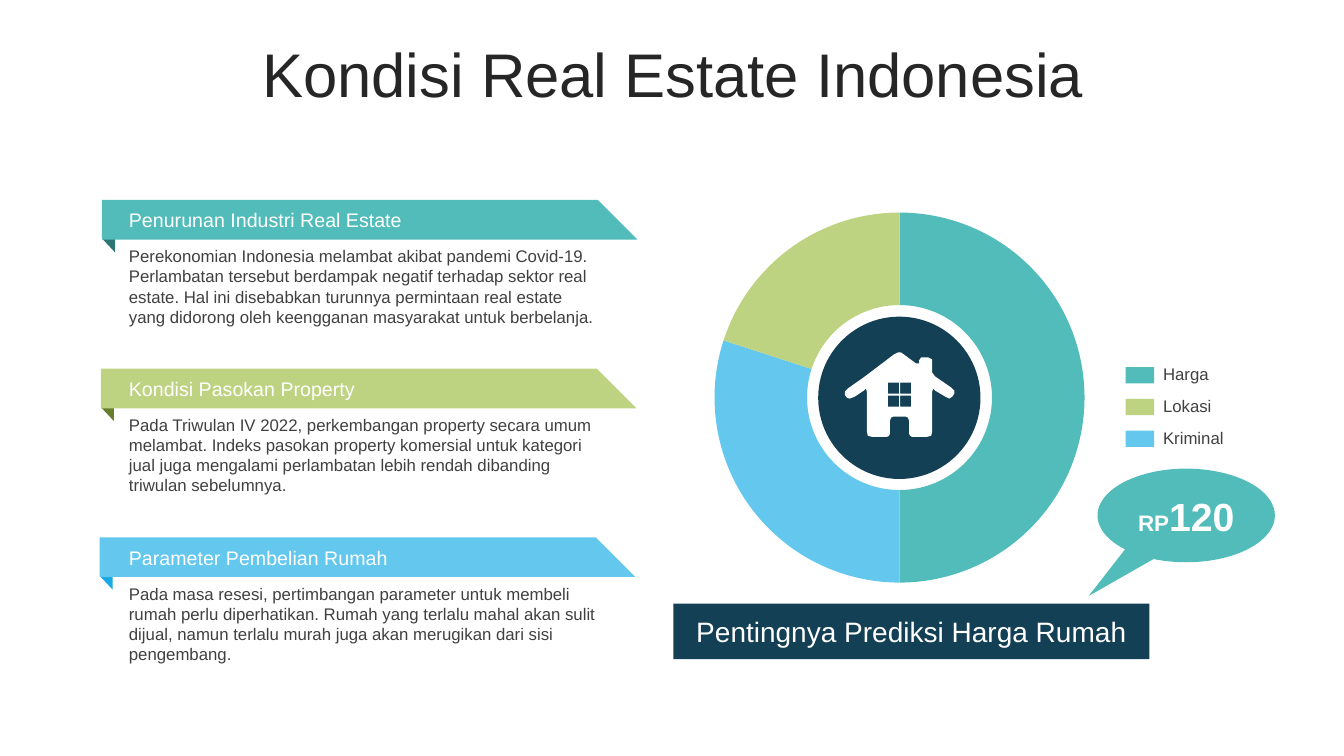
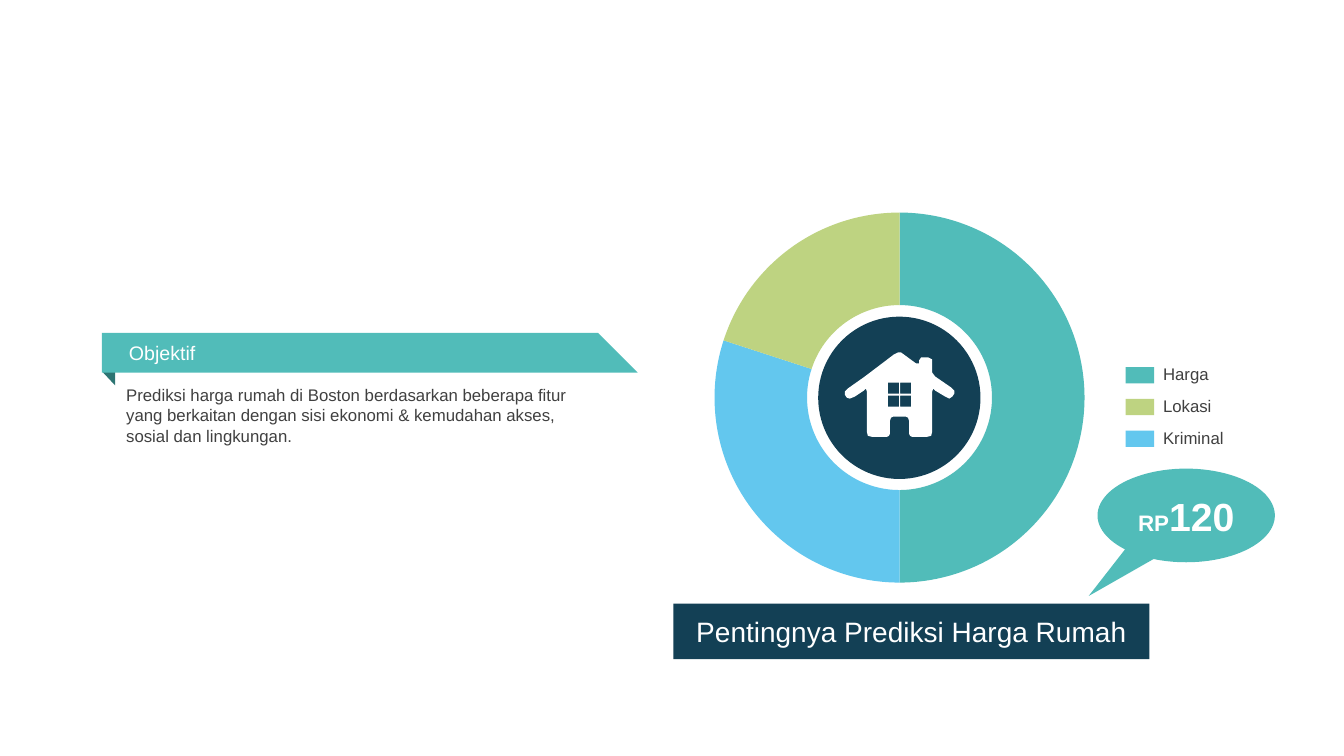
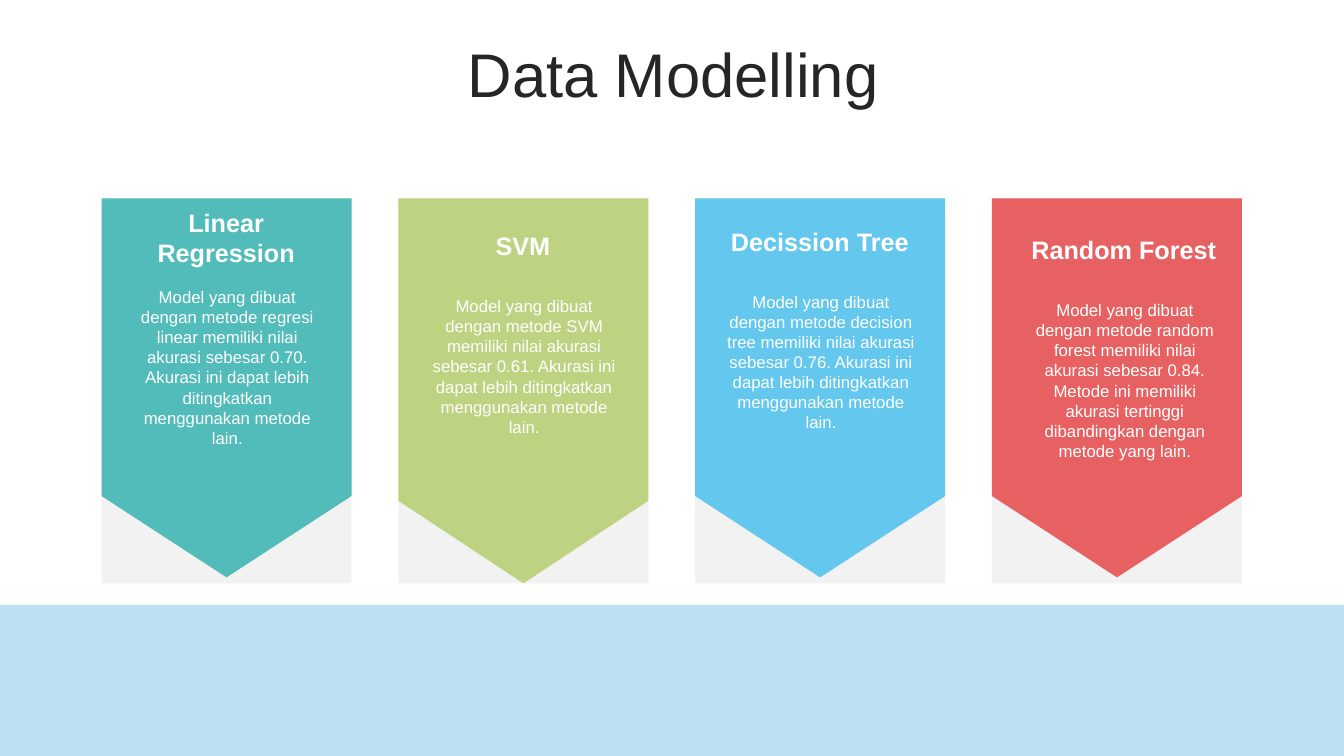
from dataclasses import dataclass

from lxml import etree
from pptx import Presentation
from pptx.chart.data import CategoryChartData
from pptx.dml.color import RGBColor
from pptx.enum.chart import XL_CHART_TYPE
from pptx.enum.shapes import MSO_SHAPE
from pptx.enum.text import MSO_ANCHOR, PP_ALIGN
from pptx.oxml.ns import qn
from pptx.util import Cm, Pt

LEFT, CENTER = PP_ALIGN.LEFT, PP_ALIGN.CENTER
TOP, MIDDLE = MSO_ANCHOR.TOP, MSO_ANCHOR.MIDDLE
RECTANGLE, OVAL = MSO_SHAPE.RECTANGLE, MSO_SHAPE.OVAL
CALLOUT = MSO_SHAPE.OVAL_CALLOUT
DOUGHNUT = XL_CHART_TYPE.DOUGHNUT


@dataclass(frozen=True)
class Theme:
    font: str = "Arial"
    chart_font: str = "Calibri"
    # Colours
    teal: str = "51BCB9"
    green: str = "BED381"
    blue: str = "63C7EE"
    red: str = "E86162"
    dark_teal: str = "2D7573"
    dark_green: str = "697E2C"
    dark_blue: str = "19ABE4"
    navy: str = "134055"
    pale_blue: str = "BDE0F0"
    light_grey: str = "F2F2F2"
    title_text: str = "262626"
    body_text: str = "404040"
    white: str = "FFFFFF"
    black: str = "000000"
    # Type sizes
    title: int = 44
    amount: int = 28
    caption: int = 20
    card_heading: int = 18
    currency: int = 16
    heading: int = 14
    body: int = 12
    chart: int = 10


THEME = Theme()

# House icon on a grid 109 units wide
HOUSE_WIDTH = 109
HOUSE_OUTLINE = [
    (51, 1), (53, 0), (56, 0), (71, 11), (74, 11), (74, 8), (76, 5), (83, 5),
    (87, 7), (87, 20), (90, 24), (106, 35), (109, 38), (109, 41), (107, 44),
    (104, 46), (100, 44), (90, 38), (88, 36), (87, 39), (87, 79), (86, 83),
    (82, 84), (67, 84), (65, 83), (64, 81), (64, 68), (63, 65), (61, 64),
    (48, 64), (46, 65), (45, 68), (45, 81), (44, 83), (42, 84), (27, 84),
    (23, 83), (22, 79), (22, 39), (21, 36), (19, 38), (10, 44), (5, 46),
    (2, 45), (0, 42), (0, 39), (3, 36), (20, 24), (49, 2),
]
PANE = 11
HOUSE_PANES = [
    [(x, y), (x, y + PANE), (x + PANE, y + PANE), (x + PANE, y)]
    for y in (30, 43) for x in (43, 55)
]


class Deck:
    def __init__(self, theme):
        self.theme = theme
        self.presentation = Presentation()
        self.presentation.slide_width = Cm(33.87)
        self.presentation.slide_height = Cm(19.05)
        self.slide = None

    def new_slide(self):
        layout = self.presentation.slide_layouts[6]
        self.slide = self.presentation.slides.add_slide(layout)

    # Basic elements
    def paint(self, shape, colour):
        shape.shadow.inherit = False
        shape.fill.solid()
        shape.fill.fore_color.rgb = RGBColor.from_string(colour)
        shape.line.fill.background()
        return shape

    def shape(self, kind, left, top, width, height, colour):
        shape = self.slide.shapes.add_shape(
            kind, Cm(left), Cm(top), Cm(width), Cm(height))
        return self.paint(shape, colour)

    def polygon(self, left, top, colour, *contours, unit=Cm(0.01)):
        """Draw closed contours whose whole-number points count in units."""
        first, *others = contours
        builder = self.slide.shapes.build_freeform(*first[0], scale=unit)
        builder.add_line_segments(first[1:], close=True)
        for contour in others:
            builder.move_to(*contour[0])
            builder.add_line_segments(contour[1:], close=True)
        return self.paint(builder.convert_to_shape(Cm(left), Cm(top)), colour)

    def fill_text(self, shape, runs, colour, align=LEFT, anchor=TOP,
                  bold=False):
        """Put (text, size) runs into one paragraph of the shape."""
        frame = shape.text_frame
        frame.word_wrap = True
        frame.vertical_anchor = anchor
        frame.margin_left = frame.margin_right = Cm(0.13)
        frame.margin_top = frame.margin_bottom = Cm(0.13)
        paragraph = frame.paragraphs[0]
        paragraph.alignment = align
        for text, size in runs:
            run = paragraph.add_run()
            run.text = text
            run.font.name = self.theme.font
            run.font.size = Pt(size)
            run.font.bold = bold
            run.font.color.rgb = RGBColor.from_string(colour)
        return paragraph

    def text(self, left, top, width, height, text, size, colour, **style):
        box = self.slide.shapes.add_textbox(
            Cm(left), Cm(top), Cm(width), Cm(height))
        return self.fill_text(box, [(text, size)], colour, **style)

    # Composed elements
    def title(self, text):
        paragraph = self.text(
            0.89, 0.94, 32.16, 2.01, text, self.theme.title,
            self.theme.title_text, align=CENTER, anchor=MIDDLE)
        paragraph.line_spacing = 0.9
        paragraph.space_before = Pt(8)

    def ribbon(self, left, top, heading, colour, fold_colour):
        self.polygon(left, top, fold_colour,
                     [(33, 5), (3, 3), (3, 100), (33, 132)])
        self.polygon(left, top, colour,
                     [(0, 0), (1250, 0), (1350, 100), (0, 100)])
        self.text(3.12, top + 0.08, 9.75, 0.81, heading,
                  self.theme.heading, self.theme.white)

    def ribbon_body(self, left, top, text):
        self.text(left, top, 12.14, 2.21, text,
                  self.theme.body, self.theme.body_text)

    def doughnut(self, left, top, size, values, colours):
        data = CategoryChartData()
        data.categories = [str(n + 1) for n in range(len(values))]
        data.add_series("Series 1", values)
        chart = self.slide.shapes.add_chart(
            DOUGHNUT, Cm(left), Cm(top), Cm(size), Cm(size), data).chart
        chart.has_legend = chart.has_title = False
        chart.font.name = self.theme.chart_font
        chart.font.size = Pt(self.theme.chart)
        chart.font.color.rgb = RGBColor.from_string(self.theme.black)
        plot = chart.plots[0]
        plot.vary_by_categories = True
        for index, colour in enumerate(colours):
            point = plot.series[0].points[index]
            point.format.fill.solid()
            point.format.fill.fore_color.rgb = RGBColor.from_string(colour)
            point.format.line.fill.background()
        # Hole size and plot area
        area = chart.element.find(".//" + qn("c:plotArea"))
        area.find(".//" + qn("c:holeSize")).set("val", "58")
        for old_layout in area.findall(qn("c:layout")):
            area.remove(old_layout)
        layout = etree.Element(qn("c:layout"))
        manual = etree.SubElement(layout, qn("c:manualLayout"))
        for name, value in (
                ("layoutTarget", "inner"), ("xMode", "edge"),
                ("yMode", "edge"), ("x", "0.005"), ("y", "0.005"),
                ("w", "0.99"), ("h", "0.99")):
            etree.SubElement(manual, qn("c:" + name)).set("val", value)
        area.insert(0, layout)

    def legend(self, left, top, entries):
        for index, (label, colour) in enumerate(entries):
            y = top + index * 0.8
            self.shape(RECTANGLE, left, y, 0.72, 0.41, colour)
            self.text(left + 0.81, y - 0.21, 1.96, 0.74, label,
                      self.theme.body, self.theme.body_text)

    def price_panel(self):
        theme = self.theme
        self.doughnut(17.96, 5.31, 9.42, [50, 30, 20],
                      [theme.teal, theme.blue, theme.green])
        self.shape(OVAL, 20.62, 7.98, 4.09, 4.09, theme.navy)
        callout = self.shape(CALLOUT, 27.66, 11.81, 4.47, 2.36, theme.teal)
        callout.adjustments[0] = -0.55
        callout.adjustments[1] = 0.86
        self.fill_text(
            callout, [("RP", theme.currency), ("120", theme.amount)],
            theme.white, align=CENTER, anchor=MIDDLE, bold=True)
        caption = self.shape(RECTANGLE, 16.97, 15.21, 12, 1.4, theme.navy)
        self.fill_text(
            caption, [("Pentingnya Prediksi Harga Rumah", theme.caption)],
            theme.white, align=CENTER, anchor=MIDDLE)
        self.legend(28.37, 9.25, [("Harga", theme.teal),
                                  ("Lokasi", theme.green),
                                  ("Kriminal", theme.blue)])
        self.polygon(21.29, 8.88, theme.white, HOUSE_OUTLINE, *HOUSE_PANES,
                     unit=Cm(2.76) / HOUSE_WIDTH)

    def card(self, left, colour, arrow, heading, body):
        """Arrow is (shoulder, tip); heading is (text, shift, top, height);
        body is (text, top, height)."""
        theme = self.theme
        top, width = 5, 6.3
        shoulder, tip = arrow
        self.shape(RECTANGLE, left, top, width, 9.7, theme.light_grey)
        self.polygon(left, top, colour,
                     [(0, 0), (630, 0), (630, shoulder),
                      (315, tip), (0, shoulder)])
        text, shift, heading_top, height = heading
        self.text(left + shift, heading_top, 5, height, text,
                  theme.card_heading, theme.white,
                  align=CENTER, anchor=MIDDLE, bold=True)
        text, body_top, height = body
        self.text(left + shift + 0.03, body_top, 5, height, text,
                  theme.body, theme.white, align=CENTER)


def market_slide(deck):
    theme = deck.theme
    sections = [
        ("Penurunan Industri Real Estate", theme.teal, theme.dark_teal,
         "Perekonomian Indonesia melambat akibat pandemi Covid-19. "
         "Perlambatan tersebut berdampak negatif terhadap sektor real "
         "estate. Hal ini disebabkan turunnya permintaan real estate yang "
         "didorong oleh keengganan masyarakat untuk berbelanja."),
        ("Kondisi Pasokan Property", theme.green, theme.dark_green,
         "Pada Triwulan IV 2022, perkembangan property secara umum "
         "melambat. Indeks pasokan property komersial untuk kategori jual "
         "juga mengalami perlambatan lebih rendah dibanding triwulan "
         "sebelumnya."),
        ("Parameter Pembelian Rumah", theme.blue, theme.dark_blue,
         "Pada masa resesi, pertimbangan parameter untuk membeli rumah "
         "perlu diperhatikan. Rumah yang terlalu mahal akan sulit dijual, "
         "namun terlalu murah juga akan merugikan dari sisi pengembang."),
    ]
    deck.new_slide()
    deck.title("Kondisi Real Estate Indonesia")
    deck.price_panel()
    for index, (heading, colour, fold_colour, body) in enumerate(sections):
        top = 5.04 + index * 4.25
        deck.ribbon(2.57 - index * 0.03, top, heading, colour, fold_colour)
        deck.ribbon_body(3.12, top + 1.03, body)


def objective_slide(deck):
    theme = deck.theme
    deck.new_slide()
    deck.price_panel()
    deck.ribbon(2.57, 8.39, "Objektif", theme.teal, theme.dark_teal)
    deck.ribbon_body(
        3.05, 9.57,
        "Prediksi harga rumah di Boston berdasarkan beberapa fitur yang "
        "berkaitan dengan sisi ekonomi & kemudahan akses, sosial dan "
        "lingkungan.")


def modelling_slide(deck):
    theme = deck.theme
    short, long = (750, 955), (762, 970)
    improve = "Akurasi ini dapat lebih ditingkatkan menggunakan metode lain."
    cards = [
        (theme.teal, short, ("Linear Regression", 0.64, 5.11, 1.73),
         ("Model yang dibuat dengan metode regresi linear memiliki nilai "
          "akurasi sebesar 0.70. " + improve, 7.09, 4.19)),
        (theme.green, long, ("SVM", 0.64, 5.69, 0.97),
         ("Model yang dibuat dengan metode SVM memiliki nilai akurasi "
          "sebesar 0.61. " + improve, 7.32, 3.71)),
        (theme.blue, short, ("Decission Tree", 0.64, 5.59, 0.97),
         ("Model yang dibuat dengan metode decision tree memiliki nilai "
          "akurasi sebesar 0.76. " + improve, 7.21, 3.71)),
        (theme.red, short, ("Random Forest", 0.82, 5.79, 0.97),
         ("Model yang dibuat dengan metode random forest memiliki nilai "
          "akurasi sebesar 0.84. Metode ini memiliki akurasi tertinggi "
          "dibandingkan dengan metode yang lain.", 7.42, 4.19)),
    ]
    deck.new_slide()
    deck.title("Data Modelling")
    deck.shape(RECTANGLE, 0, 15.24, 33.87, 3.81, theme.pale_blue)
    for index, card in enumerate(cards):
        deck.card(2.56 + index * 7.48, *card)


def main():
    deck = Deck(THEME)
    market_slide(deck)
    objective_slide(deck)
    modelling_slide(deck)
    deck.presentation.save("out.pptx")


if __name__ == "__main__":
    main()
